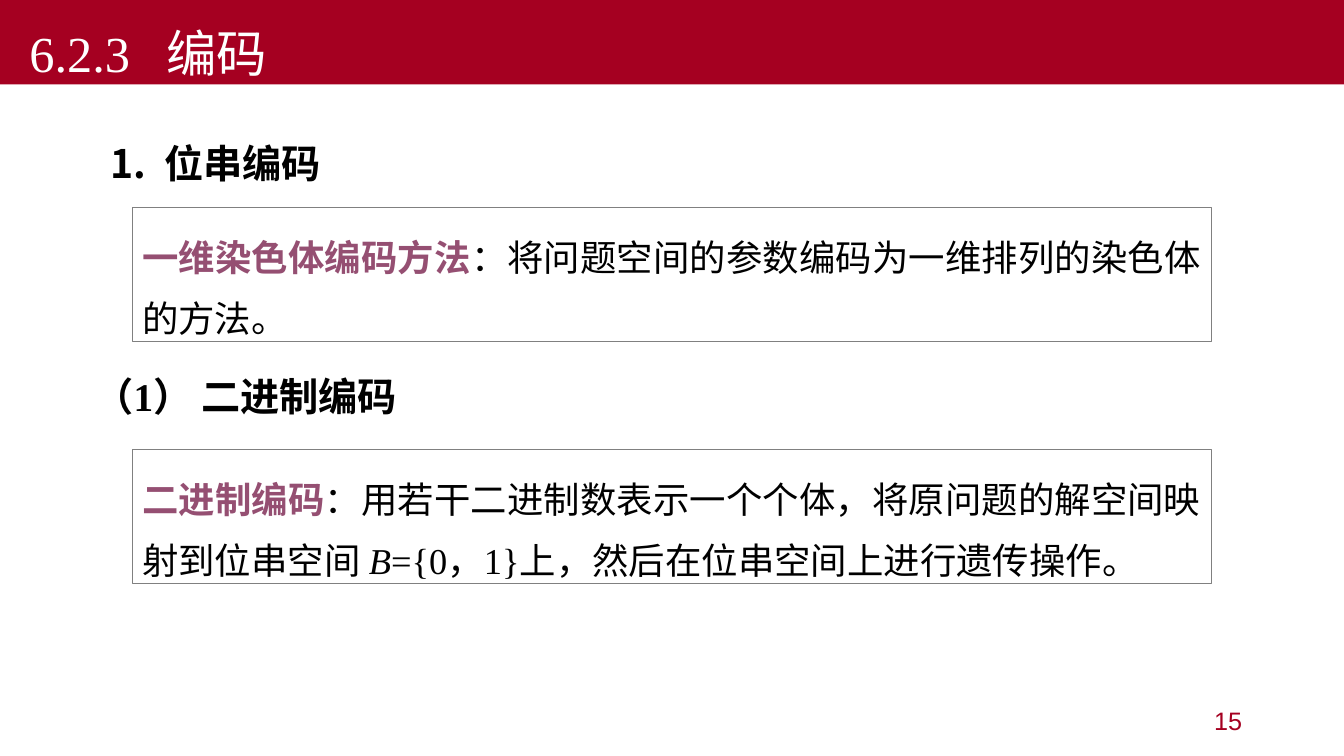
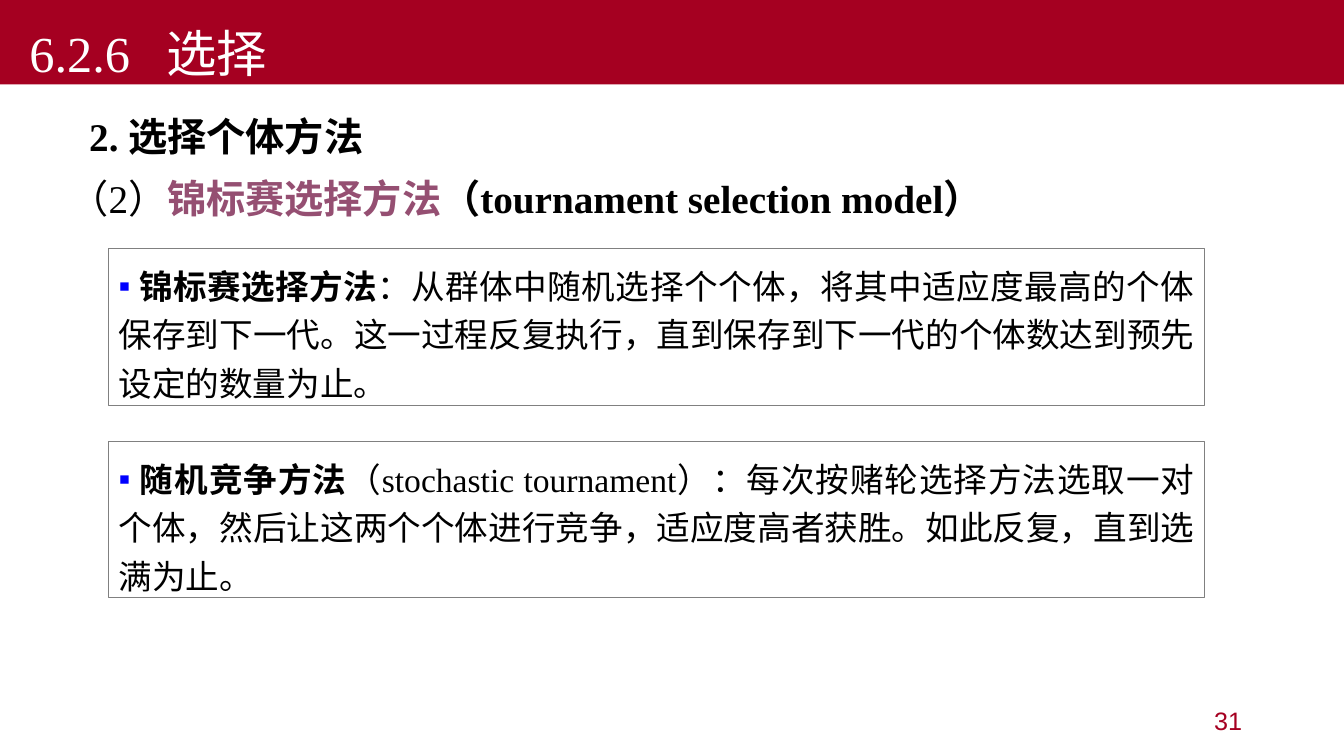
from dataclasses import dataclass
from typing import Optional

from lxml.etree import SubElement
from pptx import Presentation
from pptx.dml.color import RGBColor
from pptx.enum.shapes import MSO_SHAPE
from pptx.enum.text import MSO_ANCHOR as Anchor, MSO_AUTO_SIZE as AutoSize, PP_ALIGN as Align
from pptx.oxml.ns import qn
from pptx.util import Cm, Pt

RED = RGBColor(0xA5, 0x00, 0x21)
PLUM = RGBColor(0x95, 0x4F, 0x72)
BLUE = RGBColor(0x00, 0x00, 0xFF)
GRAY = RGBColor(0x80, 0x80, 0x80)
BLACK = RGBColor(0, 0, 0)
WHITE = RGBColor(0xFF, 0xFF, 0xFF)

SERIF, SANS, CHINESE = "Times New Roman", "Arial", "Noto Sans CJK SC"
SLIDE_WIDTH, SLIDE_HEIGHT = Cm(33.87), Cm(19.05)
BAND_HEIGHT = Cm(2.13)
TITLE_TAB = Cm(3.45)
SIDE_INSET, BOTTOM_INSET = Cm(0.25), Cm(0.05)


@dataclass(frozen=True)
class Span:
    text: str
    bold: bool = False
    italic: bool = False
    color: Optional[RGBColor] = None


@dataclass(frozen=True)
class Para:
    spans: tuple[Span, ...]
    size: float
    leading: float
    align: Align = Align.LEFT
    indent: float = 0
    bullet: bool = False
    numbered: bool = False


@dataclass(frozen=True)
class Block:
    """A text block placed in centimetres, with or without a frame."""
    left: float
    top: float
    width: float
    height: float
    paras: tuple[Para, ...]
    framed: bool = False


@dataclass(frozen=True)
class Page:
    section: str
    title: str
    number: int
    blocks: tuple[Block, ...]


def heading(*spans: Span, indent: float = 0, numbered: bool = False) -> Para:
    return Para(spans, 28, 44.3, indent=indent, numbered=numbered)


def definition(*spans: Span) -> Para:
    return Para(spans, 26, 43.6, Align.JUSTIFY)


def method(*spans: Span) -> Para:
    return Para(spans, 24, 34.6, Align.JUSTIFY, bullet=True)


PAGES = (
    Page("6.2.3", "编码", 15, (
        Block(2.54, 3.35, 22.66, 1.4, (
            heading(Span("位串编码", bold=True), indent=1.35, numbered=True),
        )),
        Block(3.33, 5.23, 27.2, 3.38, (
            definition(
                Span("一维染色体编码方法", bold=True, color=PLUM),
                Span("：将问题空间的参数编码为一维排列的染色体的方法。"),
            ),
        ), framed=True),
        Block(3.33, 11.33, 27.2, 3.38, (
            definition(
                Span("二进制编码", bold=True, color=PLUM),
                Span("：用若干二进制数表示一个个体，将原问题的解空间映射到位串空间 "),
                Span("B", italic=True),
                Span("={0，1}上，然后在位串空间上进行遗传操作。"),
            ),
        ), framed=True),
        Block(2.13, 8.94, 11.43, 1.68, (
            heading(Span("（1） 二进制编码", bold=True)),
        )),
    )),
    Page("6.2.6", "选择", 31, (
        Block(1.5, 2.72, 30.07, 2.9, (
            heading(Span("2. 选择个体方法", bold=True), indent=0.5),
            heading(
                Span("（2）"),
                Span("锦标赛选择方法", bold=True, color=PLUM),
                Span("（tournament selection model）", bold=True),
            ),
        )),
        Block(2.74, 6.27, 27.61, 3.94, (
            method(
                Span(" 锦标赛选择方法", bold=True),
                Span("：从群体中随机选择个个体，将其中适应度最高的个体保存到下一代。"
                     "这一过程反复执行，直到保存到下一代的个体数达到预先设定的数量为止。"),
            ),
        ), framed=True),
        Block(2.74, 11.13, 27.61, 3.94, (
            method(
                Span(" 随机竞争方法", bold=True),
                Span("（stochastic tournament）：每次按赌轮选择方法选取一对个体，"
                     "然后让这两个个体进行竞争，适应度高者获胜。如此反复，直到选满为止。"),
            ),
        ), framed=True),
    )),
)


def style_font(paragraph, name: str, size: float, color: RGBColor) -> None:
    font = paragraph.font
    font.name, font.size, font.color.rgb = name, Pt(size), color
    defaults = paragraph._p.pPr.find(qn("a:defRPr"))
    SubElement(defaults, qn("a:ea"), typeface=CHINESE)


def add_marker(paragraph, para: Para) -> None:
    """Add the list marker and the left indent; numbers hang in the indent."""
    properties = paragraph._p.get_or_add_pPr()
    indent = Cm(para.indent)
    properties.set("marL", str(indent))
    properties.set("indent", str(-indent if para.numbered else 0))
    if para.bullet or para.numbered:
        color = SubElement(properties, qn("a:buClr"))
        SubElement(color, qn("a:srgbClr"), val=str(BLUE if para.bullet else BLACK))
        SubElement(properties, qn("a:buFont"), typeface=SERIF if para.bullet else CHINESE)
    if para.bullet:
        SubElement(properties, qn("a:buChar"), char="▪")
    elif para.numbered:
        SubElement(properties, qn("a:buAutoNum"), type="arabicPeriod")


def write_paragraph(paragraph, para: Para) -> None:
    paragraph.alignment = para.align
    paragraph.line_spacing = Pt(para.leading)
    paragraph.space_before = Pt(0)
    add_marker(paragraph, para)
    style_font(paragraph, SERIF, para.size, BLACK)
    for span in para.spans:
        run = paragraph.add_run()
        run.text = span.text
        run.font.bold = span.bold
        if span.italic:
            run.font.italic = True
        if span.color is not None:
            run.font.color.rgb = span.color


def add_block(slide, block: Block) -> None:
    area = [Cm(value) for value in (block.left, block.top, block.width, block.height)]
    if block.framed:
        box = slide.shapes.add_shape(MSO_SHAPE.RECTANGLE, *area)
        box.shadow.inherit = False
        box.fill.solid()
        box.fill.fore_color.rgb = WHITE
        box.line.color.rgb = GRAY
        box.line.width = Pt(0.75)
    else:
        box = slide.shapes.add_textbox(*area)
    frame = box.text_frame
    frame.word_wrap = True
    frame.auto_size = AutoSize.NONE
    frame.vertical_anchor = Anchor.BOTTOM
    frame.margin_left = frame.margin_right = SIDE_INSET
    frame.margin_bottom = BOTTOM_INSET
    for index, para in enumerate(block.paras):
        paragraph = frame.add_paragraph() if index else frame.paragraphs[0]
        write_paragraph(paragraph, para)


def format_title(slide, page: Page) -> None:
    """Turn the title placeholder into the full-width band."""
    band = slide.shapes.title
    band.left, band.top, band.width, band.height = 0, 0, SLIDE_WIDTH, BAND_HEIGHT
    band.fill.solid()
    band.fill.fore_color.rgb = RED
    frame = band.text_frame
    frame.text = f"{page.section}\t{page.title}"
    frame.word_wrap = True
    frame.auto_size = AutoSize.NONE
    frame.vertical_anchor = Anchor.BOTTOM
    frame.margin_left = Cm(0.74)
    frame.margin_bottom = BOTTOM_INSET
    paragraph = frame.paragraphs[0]
    paragraph.alignment = Align.LEFT
    paragraph.line_spacing = Pt(43)
    tabs = SubElement(paragraph._p.get_or_add_pPr(), qn("a:tabLst"))
    SubElement(tabs, qn("a:tab"), pos=str(TITLE_TAB), algn="l")
    style_font(paragraph, SERIF, 36, WHITE)


def add_page_number(slide, number: int) -> None:
    box = slide.shapes.add_textbox(Cm(23.93), Cm(17.65), Cm(7.62), Cm(1.02))
    frame = box.text_frame
    frame.word_wrap = True
    frame.vertical_anchor = Anchor.MIDDLE
    frame.text = str(number)
    paragraph = frame.paragraphs[0]
    paragraph.alignment = Align.RIGHT
    style_font(paragraph, SANS, 18, RED)


def main() -> None:
    deck = Presentation()
    deck.slide_width, deck.slide_height = SLIDE_WIDTH, SLIDE_HEIGHT
    title_only = deck.slide_layouts[5]
    for page in PAGES:
        slide = deck.slides.add_slide(title_only)
        format_title(slide, page)
        for block in page.blocks:
            add_block(slide, block)
        add_page_number(slide, page.number)
    deck.save("out.pptx")


if __name__ == "__main__":
    main()
